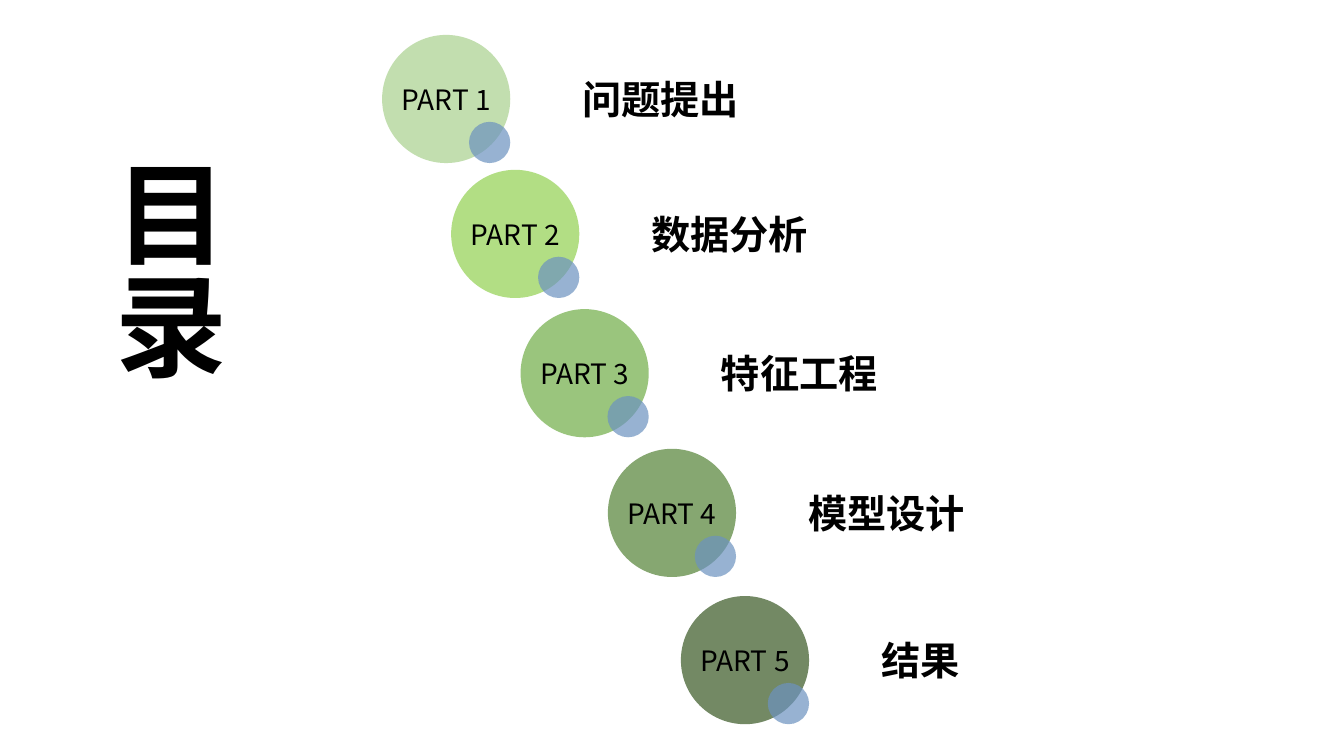
from dataclasses import dataclass

from lxml.etree import SubElement as Sub
from pptx import Presentation
from pptx.dml.color import RGBColor as Rgb
from pptx.enum.shapes import MSO_SHAPE as Shape
from pptx.enum.text import MSO_ANCHOR as Anchor, MSO_AUTO_SIZE as Fit, PP_ALIGN as Align
from pptx.oxml.ns import qn
from pptx.util import Cm, Pt


@dataclass(frozen=True)
class Theme:
    font: str = "Noto Sans CJK SC"
    ink: str = "000000"
    dot: str = "6C92C0"
    greens: tuple = ("A9D18E", "92D050", "70AD47", "548235", "385723")
    alpha: int = 70
    title: int = 80
    name: int = 28
    label: int = 20


THEME = Theme()
SIZE = 3.23  # circle diameter in cm
DOT = 1.04

# Name, left and top of each step, in cm
STEPS = (
    ("问题提出", 9.63, 0.88),
    ("数据分析", 11.37, 4.28),
    ("特征工程", 13.12, 7.79),
    ("模型设计", 15.32, 11.31),
    ("结果", 17.16, 15.02),
)


def write(frame, text, size, bold=False, align=Align.LEFT):
    """Fill a text frame with one styled paragraph."""
    frame.text = text
    para = frame.paragraphs[0]
    para.alignment = align
    font = para.font
    font.name, font.size, font.bold = THEME.font, Pt(size), bold
    font.color.rgb = Rgb.from_string(THEME.ink)
    # East Asian text takes its own typeface
    props = para._p.pPr.find(qn("a:defRPr"))
    Sub(props, qn("a:ea"), typeface=THEME.font)


def disc(group, x, y, size, color):
    """Draw a translucent circle."""
    oval = group.shapes.add_shape(Shape.OVAL, Cm(x), Cm(y), Cm(size), Cm(size))
    oval.shadow.inherit = False
    oval.line.fill.background()
    oval.fill.solid()
    oval.fill.fore_color.rgb = Rgb.from_string(color)
    tint = oval._element.spPr.find(qn("a:solidFill"))[0]
    Sub(tint, qn("a:alpha"), val=str(THEME.alpha * 1000))


def heading(slide, x, y, w, h):
    """Set the title as a vertical column."""
    title = slide.shapes.title
    title.left, title.top, title.width, title.height = Cm(x), Cm(y), Cm(w), Cm(h)
    frame = title.text_frame
    write(frame, "目录", THEME.title, bold=True)
    frame.auto_size = Fit.NONE
    frame.vertical_anchor = Anchor.TOP
    frame._txBody.bodyPr.set("vert", "eaVert")


def step(slide, x, y, num, name, color):
    """Place one numbered step from the corner of its circle."""
    group = slide.shapes.add_group_shape()
    disc(group, x, y, SIZE, color)
    disc(group, x + SIZE - DOT, y + SIZE - DOT, DOT, THEME.dot)

    # Number, centred on the circle
    wide = 5.21
    label = group.shapes.add_textbox(
        Cm(x + (SIZE - wide) / 2), Cm(y + 1.07), Cm(wide), Cm(1.09))
    label.text_frame.word_wrap = True
    write(label.text_frame, f"PART {num}", THEME.label, align=Align.CENTER)

    # Name, as wide as its characters
    box = group.shapes.add_textbox(
        Cm(x + 4.8), Cm(y + 0.89), Cm(0.53 + 0.99 * len(name)), Cm(1.45))
    box.text_frame.word_wrap = False
    box.text_frame.auto_size = Fit.SHAPE_TO_FIT_TEXT
    write(box.text_frame, name, THEME.name, bold=True)


def main():
    deck = Presentation()
    deck.slide_width, deck.slide_height = Cm(33.87), Cm(19.05)
    slide = deck.slides.add_slide(deck.slide_layouts[5])
    heading(slide, 2.24, 3.86, 3.94, 9.73)
    for num, ((name, x, y), color) in enumerate(zip(STEPS, THEME.greens), 1):
        step(slide, x, y, num, name, color)
    deck.save("out.pptx")


if __name__ == "__main__":
    main()
